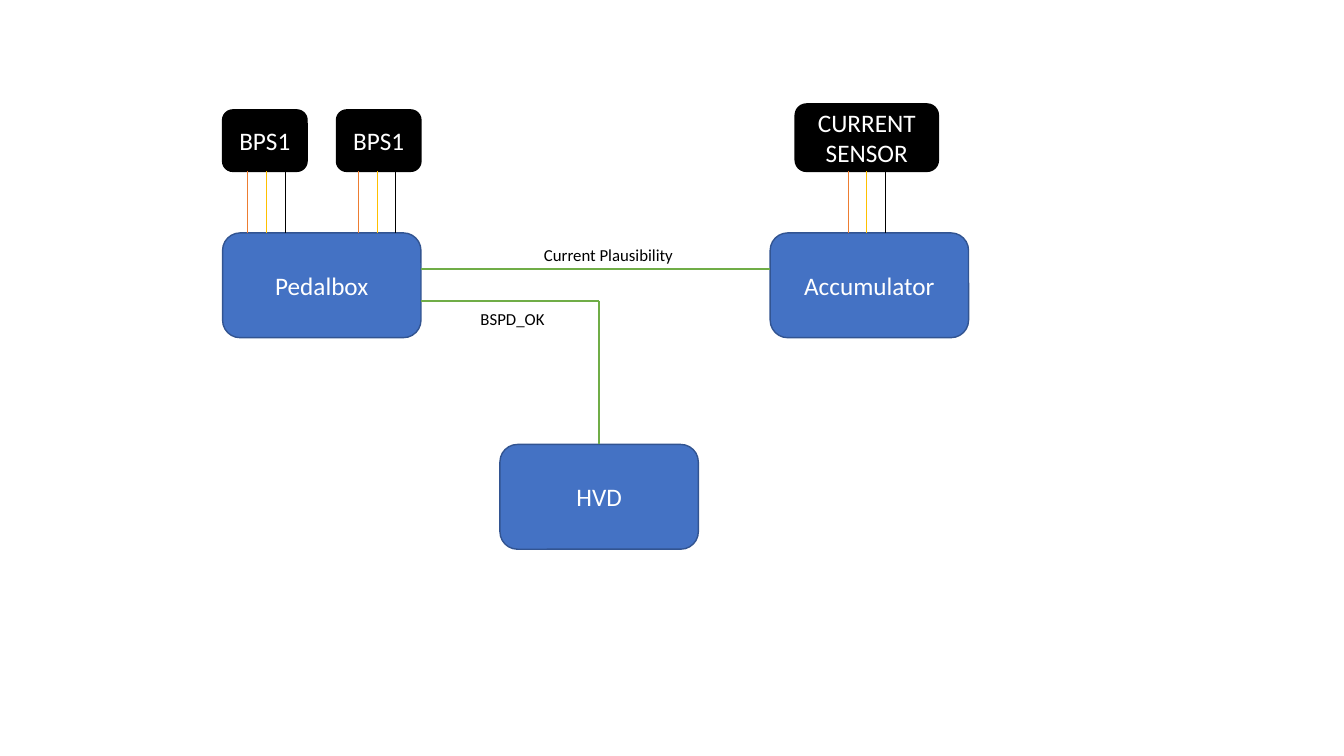
"""Build the wiring diagram of the brake plausibility system."""
from lxml.etree import SubElement
from pptx import Presentation
from pptx.dml.color import RGBColor
from pptx.enum.shapes import MSO_CONNECTOR as Connector, MSO_SHAPE as Shape
from pptx.enum.text import MSO_ANCHOR as Anchor, PP_ALIGN as Align
from pptx.oxml.ns import qn
from pptx.util import Cm, Pt

COLORS = {"unit": "4472C4", "unit_edge": "325491", "sensor": "000000", "signal": "70AD47",
          "power": "ED7D31", "data": "FFC000", "ground": "000000",
          "light": "FFFFFF", "dark": "000000"}
UNIT_WIDTH, UNIT_HEIGHT = 5, 2.64
UNIT_TOP, SENSOR_BOTTOM = 5.87, 4.32
PEDALBOX_LEFT, ACCUMULATOR_LEFT = 5.61, 19.41
HVD_LEFT, HVD_TOP = 12.6, 11.2
UNITS = [("Pedalbox", PEDALBOX_LEFT, UNIT_TOP),
         ("Accumulator", ACCUMULATOR_LEFT, UNIT_TOP),
         ("HVD", HVD_LEFT, HVD_TOP)]
SENSORS = [("BPS1", 5.61, 2.13, 1.55, 6.71),
           ("BPS1", 8.48, 2.13, 1.55, 9.5),
           ("CURRENT SENSOR", 20.04, 3.61, 1.7, 21.84)]
WIRES = ["power", "data", "ground"]
WIRE_PITCH = 0.47
PLAUSIBILITY_Y, BSPD_Y = 6.78, 7.59
LABELS = [("Current Plausibility", 13.46, 6.05, 3.78, False),
          ("BSPD_OK", 11.86, 7.65, 2.51, True)]


def color(name):
    return RGBColor.from_string(COLORS[name])


def write(shape, text, size, ink, align):
    paragraph = shape.text_frame.paragraphs[0]
    paragraph.text = text
    paragraph.alignment = align
    paragraph.font.size = Pt(size)
    paragraph.font.name = "Calibri"
    paragraph.font.color.rgb = color(ink)


def add_box(text, left, top, width, height, fill, edge):
    shape = slide.shapes.add_shape(Shape.ROUNDED_RECTANGLE, Cm(left), Cm(top), Cm(width), Cm(height))
    shape.shadow.inherit = False
    shape.fill.solid()
    shape.fill.fore_color.rgb = color(fill)
    shape.line.color.rgb = color(edge)
    shape.line.width = Pt(1)
    shape.text_frame.word_wrap = True
    shape.text_frame.vertical_anchor = Anchor.MIDDLE
    write(shape, text, 18, "light", Align.CENTER)


def add_line(start_x, start_y, end_x, end_y, ink, weight):
    line = slide.shapes.add_connector(Connector.STRAIGHT, Cm(start_x), Cm(start_y), Cm(end_x), Cm(end_y))
    line.line.color.rgb = color(ink)
    line.line.width = Pt(weight)
    SubElement(line.element.spPr, qn("a:effectLst"))


presentation = Presentation()
presentation.slide_width, presentation.slide_height = Cm(33.87), Cm(19.05)
slide = presentation.slides.add_slide(presentation.slide_layouts[6])

for name, left, top in UNITS:
    add_box(name, left, top, UNIT_WIDTH, UNIT_HEIGHT, "unit", "unit_edge")

pedalbox_right = PEDALBOX_LEFT + UNIT_WIDTH
hvd_middle = HVD_LEFT + UNIT_WIDTH / 2
for ends in [(pedalbox_right, BSPD_Y, hvd_middle, BSPD_Y),
             (hvd_middle, BSPD_Y, hvd_middle, HVD_TOP),
             (pedalbox_right, PLAUSIBILITY_Y, ACCUMULATOR_LEFT, PLAUSIBILITY_Y)]:
    add_line(*ends, "signal", 1.5)

for name, left, width, height, wire_middle in SENSORS:
    add_box(name, left, SENSOR_BOTTOM - height, width, height, "sensor", "sensor")
    for index, wire in enumerate(WIRES):
        x = wire_middle + (index - 1) * WIRE_PITCH
        add_line(x, SENSOR_BOTTOM, x, UNIT_TOP, wire, 0.5)

for text, left, top, width, wrap in LABELS:
    label = slide.shapes.add_textbox(Cm(left), Cm(top), Cm(width), Cm(0.77))
    label.text_frame.word_wrap = wrap
    write(label, text, 12, "dark", Align.LEFT)

presentation.save("out.pptx")
